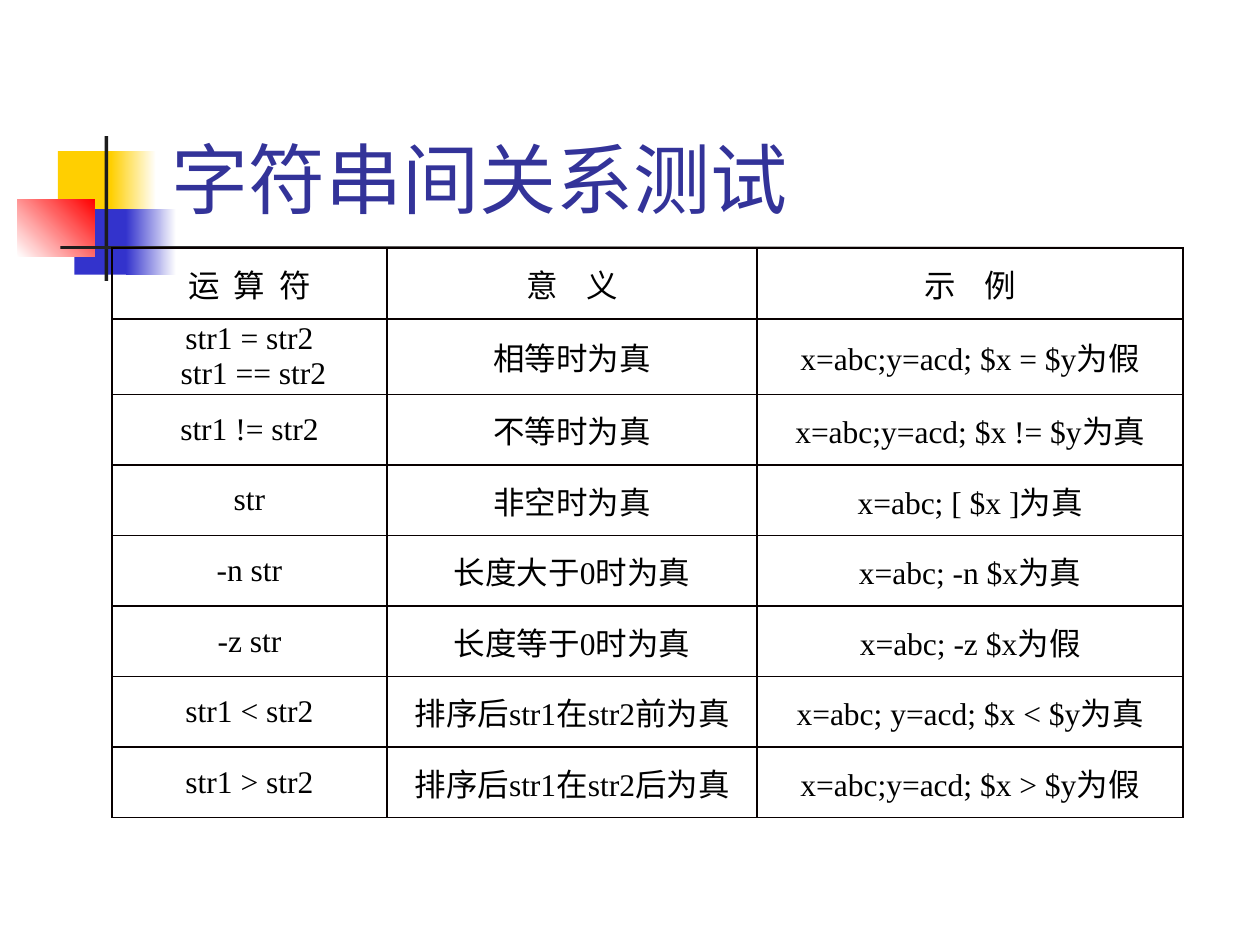
from pptx import Presentation
from pptx.dml.color import RGBColor
from pptx.enum.shapes import MSO_SHAPE
from pptx.enum.text import MSO_ANCHOR, PP_ALIGN
from pptx.oxml import parse_xml
from pptx.oxml.ns import nsdecls
from pptx.util import Inches, Pt

RECTANGLE = MSO_SHAPE.RECTANGLE
BOTTOM = MSO_ANCHOR.BOTTOM
MIDDLE = MSO_ANCHOR.MIDDLE
CENTER = PP_ALIGN.CENTER

WHITE = RGBColor(0xFF, 0xFF, 0xFF)
BLACK = RGBColor(0x00, 0x00, 0x00)
YELLOW = RGBColor(0xFF, 0xCF, 0x01)
BLUE = RGBColor(0x33, 0x33, 0xCC)
RED = RGBColor(0xFF, 0x00, 0x00)
CHARCOAL = RGBColor(0x1C, 0x1C, 0x1C)
INDIGO = RGBColor(0x33, 0x33, 0x99)
BORDER = RGBColor(0x08, 0x00, 0x00)

COLUMN_WIDTHS = (2.18, 2.94, 3.38)
ROW_HEIGHT = 0.56
STRING_TESTS = (
    ("运  算  符", "意    义", "示    例"),
    ("str1 = str2\n str1 == str2", "相等时为真", "x=abc;y=acd; $x = $y为假"),
    ("str1 != str2", "不等时为真", "x=abc;y=acd; $x != $y为真"),
    ("str", "非空时为真", "x=abc; [ $x ]为真"),
    ("-n str", "长度大于0时为真", "x=abc; -n $x为真"),
    ("-z str", "长度等于0时为真", "x=abc; -z $x为假"),
    ("str1 < str2", "排序后str1在str2前为真", "x=abc; y=acd; $x < $y为真"),
    ("str1 > str2", "排序后str1在str2后为真", "x=abc;y=acd; $x > $y为假"),
)


class SlideBuilder:
    title_font = "Karla"
    body_font = "Times New Roman"

    def __init__(self, slide):
        self.slide = slide

    def block(self, left, top, width, height, start, end=None, angle=0):
        block = self.slide.shapes.add_shape(
            RECTANGLE, Inches(left), Inches(top), Inches(width), Inches(height))
        block.shadow.inherit = False
        block.line.fill.background()
        if end is None:
            block.fill.solid()
            block.fill.fore_color.rgb = start
            return
        block.fill.gradient()
        block.fill.gradient_angle = angle
        for stop, color in zip(block.fill.gradient_stops, (start, end)):
            stop.color.rgb = color

    def style(self, paragraph, name, size, color):
        paragraph.font.name = name
        paragraph.font.size = Pt(size)
        paragraph.font.color.rgb = color

    def title(self, text, left, top, width, height):
        box = self.slide.shapes.add_textbox(
            Inches(left), Inches(top), Inches(width), Inches(height))
        frame = box.text_frame
        frame.word_wrap = True
        frame.vertical_anchor = BOTTOM
        frame.text = text
        self.style(frame.paragraphs[0], self.title_font, 44, INDIGO)

    def borders(self, cell):
        properties = cell._tc.get_or_add_tcPr()
        for side in ("lnL", "lnR", "lnT", "lnB"):
            properties.append(parse_xml(
                f'<a:{side} {nsdecls("a")} w="{Pt(1)}"><a:solidFill>'
                f'<a:srgbClr val="{BORDER}"/></a:solidFill></a:{side}>'))

    def cell(self, cell, text):
        self.borders(cell)
        cell.fill.background()
        cell.vertical_anchor = MIDDLE
        cell.margin_left = cell.margin_right = Inches(0.07)
        cell.margin_top = cell.margin_bottom = 0
        cell.text = text
        for paragraph in cell.text_frame.paragraphs:
            paragraph.alignment = CENTER
            self.style(paragraph, self.body_font, 18, BLACK)

    def table(self, rows, left, top, widths, row_height):
        table = self.slide.shapes.add_table(
            len(rows), len(widths), Inches(left), Inches(top),
            Inches(sum(widths)), Inches(row_height * len(rows))).table
        table.first_row = False
        table.horz_banding = False
        for column, width in zip(table.columns, widths):
            column.width = Inches(width)
        for row, texts in zip(table.rows, rows):
            row.height = Inches(row_height)
            for cell, text in zip(row.cells, texts):
                self.cell(cell, text)


def main():
    presentation = Presentation()
    presentation.slide_width = Inches(10)
    presentation.slide_height = Inches(7.5)
    builder = SlideBuilder(presentation.slides.add_slide(presentation.slide_layouts[6]))

    builder.block(0.46, 1.2, 0.48, 0.52, YELLOW)
    builder.block(0.88, 1.2, 0.36, 0.52, YELLOW, WHITE)
    builder.block(0.59, 1.66, 0.46, 0.52, BLUE)
    builder.block(1, 1.66, 0.4, 0.52, BLUE, WHITE)
    builder.block(0.14, 1.58, 0.61, 0.46, WHITE, RED, angle=45)
    builder.block(0.83, 1.08, 0.03, 1.15, CHARCOAL)
    builder.block(0.48, 1.95, 9, 0.03, CHARCOAL, WHITE)

    builder.title("字符串间关系测试", 1.26, 0.23, 8.52, 1.6)
    builder.table(STRING_TESTS, 0.89, 1.97, COLUMN_WIDTHS, ROW_HEIGHT)
    presentation.save("out.pptx")


if __name__ == "__main__":
    main()
